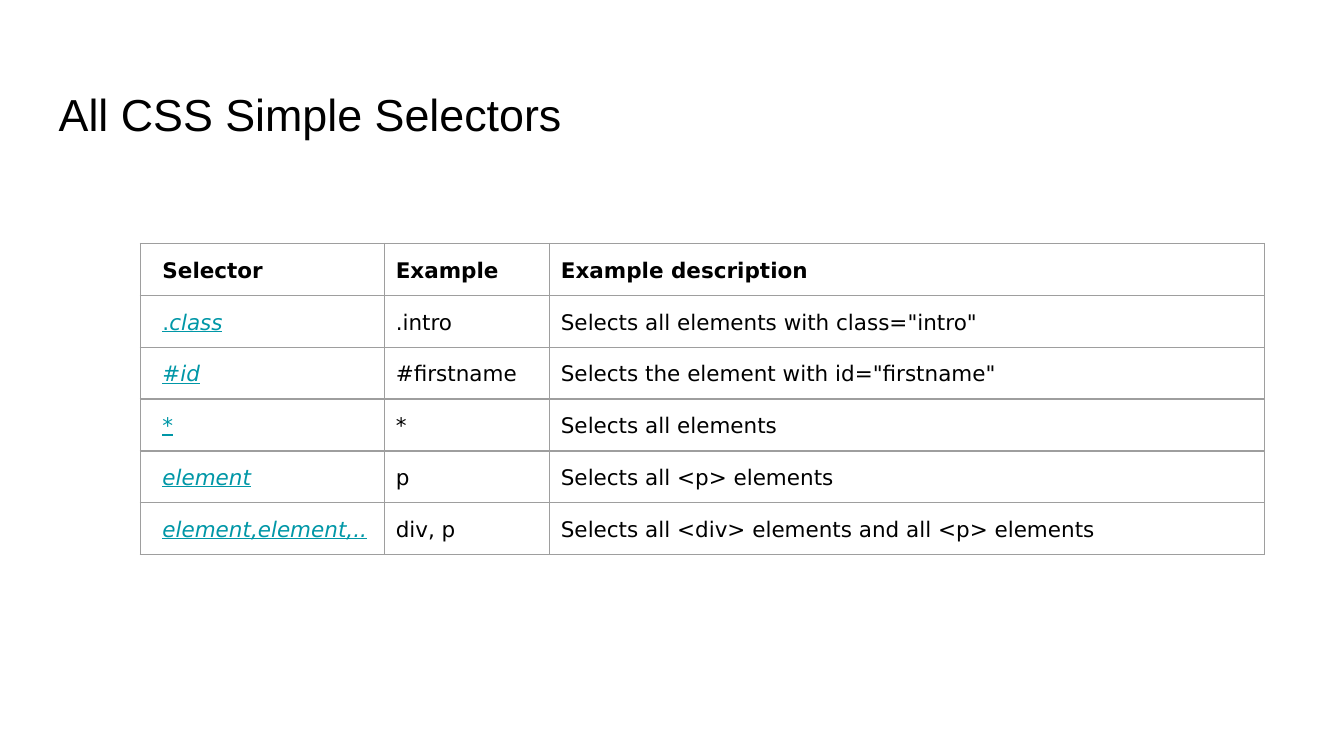
import pptx
import pptx.dml.color
import pptx.enum.text
import pptx.oxml
import pptx.oxml.ns
import pptx.util

Cm = pptx.util.Cm
Pt = pptx.util.Pt
COLORS = {"text": "000000", "link": "0097A7", "border": "9E9E9E"}


def style_run(run, font_name, size, color):
    run.font.name = font_name
    run.font.size = Pt(size)
    run.font.color.rgb = pptx.dml.color.RGBColor.from_string(COLORS[color])


def add_borders(cell):
    properties = cell._tc.get_or_add_tcPr()
    for position, side in enumerate(("lnL", "lnR", "lnT", "lnB")):
        border = pptx.oxml.parse_xml(
            f'<a:{side} {pptx.oxml.ns.nsdecls("a")} w="{Pt(0.75)}"><a:solidFill>'
            f'<a:srgbClr val="{COLORS["border"]}"/></a:solidFill></a:{side}>'
        )
        properties.insert(position, border)


deck = pptx.Presentation()
deck.slide_width = Cm(25.4)
deck.slide_height = Cm(14.29)
slide = deck.slides.add_slide(deck.slide_layouts[6])

title = slide.shapes.add_textbox(Cm(0.86), Cm(1.24), Cm(23.67), Cm(1.6)).text_frame
title.word_wrap = True
title.margin_left = title.margin_right = Cm(0.25)
title.margin_top = title.margin_bottom = Cm(0.25)
title.text = "All CSS Simple Selectors"
heading = title.paragraphs[0]
heading.line_spacing = 1.15
heading.space_before = Pt(8)
style_run(heading.runs[0], "Arial", 24, "text")

selectors = [
    ("Selector", "Example", "Example description"),
    (".class", ".intro", 'Selects all elements with class="intro"'),
    ("#id", "#firstname", 'Selects the element with id="firstname"'),
    ("*", "*", "Selects all elements"),
    ("element", "p", "Selects all <p> elements"),
    ("element,element,..", "div, p", "Selects all <div> elements and all <p> elements"),
]
column_widths = [4.62, 3.12, 13.51]
row_height = 0.97

selector_table = slide.shapes.add_table(
    len(selectors), len(column_widths), Cm(2.65), Cm(4.6),
    Cm(sum(column_widths)), Cm(row_height * len(selectors)),
).table
selector_table.first_row = False
selector_table.horz_banding = False
for column, width in zip(selector_table.columns, column_widths):
    column.width = Cm(width)

for row_index, entry in enumerate(selectors):
    selector_table.rows[row_index].height = Cm(row_height)
    for column_index, wording in enumerate(entry):
        is_header = row_index == 0
        is_link = column_index == 0 and not is_header
        cell = selector_table.cell(row_index, column_index)
        cell.fill.background()
        add_borders(cell)
        cell.margin_left = Cm(0.42 if column_index == 0 else 0.21)
        cell.margin_right = cell.margin_top = cell.margin_bottom = Cm(0.21)
        cell.vertical_anchor = pptx.enum.text.MSO_ANCHOR.TOP

        paragraph = cell.text_frame.paragraphs[0]
        paragraph.line_spacing = 1.15
        paragraph.space_before = paragraph.space_after = Pt(15)
        name = wording.lstrip(".#*") if is_link else wording
        prefix = wording[:len(wording) - len(name)]
        for part in filter(None, (prefix, name)):
            run = paragraph.add_run()
            run.text = part
            style_run(run, "DejaVu Sans", 11.5, "link" if is_link else "text")
            run.font.bold = is_header
            run.font.underline = is_link
            run.font.italic = is_link and part == name

deck.save("out.pptx")
